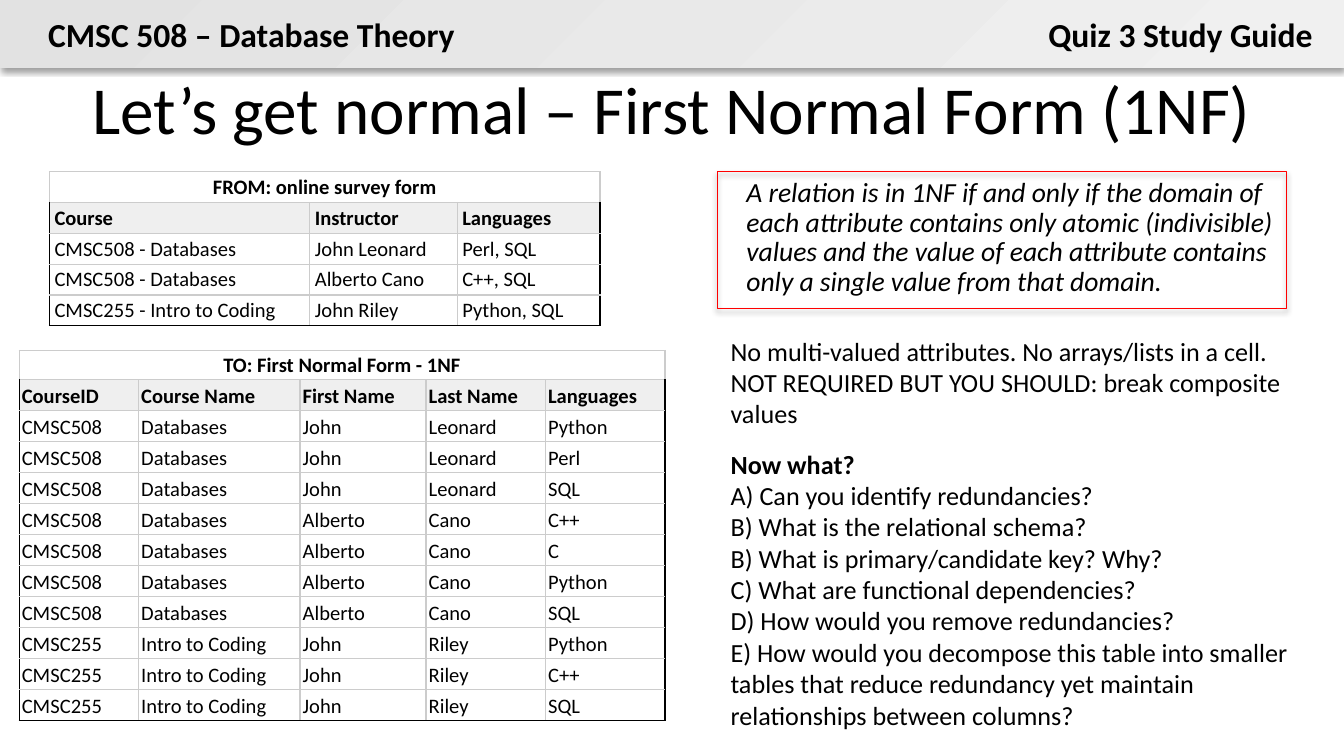
"""Build the First Normal Form study guide slide."""
from pptx import Presentation, util as u
from pptx.dml.color import RGBColor
from pptx.enum import shapes, text
from pptx.oxml import parse_xml
from pptx.oxml.ns import nsdecls

Pt = u.Pt
ALIGN = text.PP_ALIGN
ANCHOR = text.MSO_ANCHOR


def rgb(value):
    return RGBColor.from_string(value)


class Deck:
    font, ink, grid, head = "Calibri", "000000", "CCCCCC", "EFEFEF"

    def __init__(self, width, height):
        self.prs = Presentation()
        self.prs.slide_width, self.prs.slide_height = Pt(width), Pt(height)
        self.s = self.prs.slides.add_slide(self.prs.slide_layouts[6])

    def run(self, p, content, size, bold=False, italic=False):
        for i, line in enumerate(content.split("\n")):
            if i:
                p.add_line_break()
            if line:
                r = p.add_run()
                r.text = line
                f = r.font
                f.name, f.size, f.bold, f.italic = self.font, Pt(size), bold, italic
                f.color.rgb = rgb(self.ink)

    def text(self, box, paragraphs, size, align=ALIGN.LEFT, anchor=ANCHOR.TOP,
             wrap=True, after=0, spacing=None, indent=0, italic=False):
        tf = self.s.shapes.add_textbox(*map(Pt, box)).text_frame
        tf.word_wrap, tf.vertical_anchor = wrap, anchor
        for i, runs in enumerate(paragraphs):
            p = tf.paragraphs[0] if i == 0 else tf.add_paragraph()
            p.alignment, p.space_after, p.line_spacing = align, Pt(after), spacing
            if indent:
                p._p.get_or_add_pPr().set("marL", str(Pt(indent)))
            for content, bold in runs:
                self.run(p, content, size, bold, italic)

    def rect(self, box, gradient=None, line=None, alpha=38):
        sp = self.s.shapes.add_shape(shapes.MSO_SHAPE.RECTANGLE, *map(Pt, box))
        if gradient:
            sp.fill.gradient()
            sp.fill.gradient_angle = 315
            for stop, colour in zip(sp.fill.gradient_stops, gradient):
                stop.color.rgb = rgb(colour)
        else:
            sp.fill.background()
        if line:
            sp.line.color.rgb, sp.line.width = rgb(line), Pt(0.75)
        else:
            sp.line.fill.background()
        sp._element.spPr.append(parse_xml(
            f'<a:effectLst {nsdecls("a")}><a:outerShdw blurRad="{Pt(3.1)}" '
            f'dist="{Pt(1.7)}" dir="5400000" rotWithShape="0"><a:srgbClr val="{self.ink}">'
            f'<a:alpha val="{alpha * 1000}"/></a:srgbClr></a:outerShdw></a:effectLst>'))

    def borders(self, cell, colours):
        for side, colour in zip("LRTB", colours):
            cell._tc.get_or_add_tcPr().append(parse_xml(
                f'<a:ln{side} {nsdecls("a")} w="{Pt(0.75)}"><a:solidFill>'
                f'<a:srgbClr val="{colour}"/></a:solidFill></a:ln{side}>'))

    def table(self, left, top, widths, heights, title, rows, margin):
        n, m = len(heights), len(widths)
        tbl = self.s.shapes.add_table(
            n, m, Pt(left), Pt(top), Pt(sum(widths)), Pt(sum(heights))).table
        tbl.first_row = tbl.horz_banding = False
        for col, width in zip(tbl.columns, widths):
            col.width = Pt(width)
        for row, height in zip(tbl.rows, heights):
            row.height = Pt(height)
        tbl.cell(0, 0).merge(tbl.cell(0, m - 1))
        for i, values in enumerate([[title] + [""] * (m - 1)] + rows):
            for j, value in enumerate(values):
                cell = tbl.cell(i, j)
                cell.margin_left = cell.margin_right = Pt(margin)
                cell.margin_top = cell.margin_bottom = Pt(margin / 2)
                cell.vertical_anchor = ANCHOR.BOTTOM
                dark = (i and j == 0, i and j == m - 1, False, i == n - 1)
                self.borders(cell, [self.ink if d else self.grid for d in dark])
                if i == 1:
                    cell.fill.solid()
                    cell.fill.fore_color.rgb = rgb(self.head)
                else:
                    cell.fill.background()
                p = cell.text_frame.paragraphs[0]
                p.alignment = ALIGN.LEFT if i else ALIGN.CENTER
                self.run(p, value, 11, bold=i < 2)


def main():
    d = Deck(720, 405)
    d.rect((0, 0, 720, 36.3), gradient=("E2E2E2", "F0F0F0"))
    d.text((18.7, 3.9, 235, 29), [[("CMSC 508 – Database Theory", True)]], 18, wrap=False)
    d.text((553, 3.9, 157.5, 29), [[("Quiz 3 Study Guide", True)]], 18,
           align=ALIGN.RIGHT, wrap=False)
    d.text((36, 39, 648, 37.5), [[("Let’s get normal – First Normal Form (1NF)", False)]],
           36, align=ALIGN.CENTER, anchor=ANCHOR.MIDDLE)

    d.table(26.5, 92, (139.5, 79, 76.5), [16.5] * 5, "FROM: online survey form", [
        ["Course", "Instructor", "Languages"],
        ["CMSC508 - Databases", "John Leonard", "Perl, SQL"],
        ["CMSC508 - Databases", "Alberto Cano", "C++, SQL"],
        ["CMSC255 - Intro to Coding", "John Riley", "Python, SQL"],
    ], margin=2.7)

    courses = [
        ("CMSC508", "Databases", "John", "Leonard", ("Python", "Perl", "SQL")),
        ("CMSC508", "Databases", "Alberto", "Cano", ("C++", "C", "Python", "SQL")),
        ("CMSC255", "Intro to Coding", "John", "Riley", ("Python", "C++", "SQL")),
    ]
    rows = [["CourseID", "Course Name", "First Name", "Last Name", "Languages"]]
    rows += [[*facts, lang] for *facts, langs in courses for lang in langs]
    d.table(10.3, 187.8, (64, 86.5, 67.5, 64, 64), [15.6] + [16.6] * 11,
            "TO: First Normal Form - 1NF", rows, margin=1.4)

    d.text((365.8, 92, 345.6, 84), [[(
        "A relation is in 1NF if and only if the domain of each attribute contains only "
        "atomic (indivisible) values and the value of each attribute contains only a "
        "single value from that domain.", False)]],
        14.8, after=10, spacing=0.9, indent=27, italic=True)
    d.rect((384.3, 92, 304.8, 73.2), line="FF0000", alpha=35)
    d.text((384.3, 176, 319.5, 221), [
        [("No multi-valued attributes. No arrays/lists in a cell. "
          "NOT REQUIRED BUT YOU SHOULD: break composite values", False)],
        [("Now what?\n", True),
         ("A) Can you identify redundancies?\n"
          "B) What is the relational schema?\n"
          "B) What is primary/candidate key? Why?\n"
          "C) What are functional dependencies?\n"
          "D) How would you remove redundancies?\n"
          "E) How would you decompose this table into smaller tables that reduce "
          "redundancy yet maintain relationships between columns?", False)],
    ], 14, after=10)
    d.prs.save("out.pptx")


if __name__ == "__main__":
    main()
